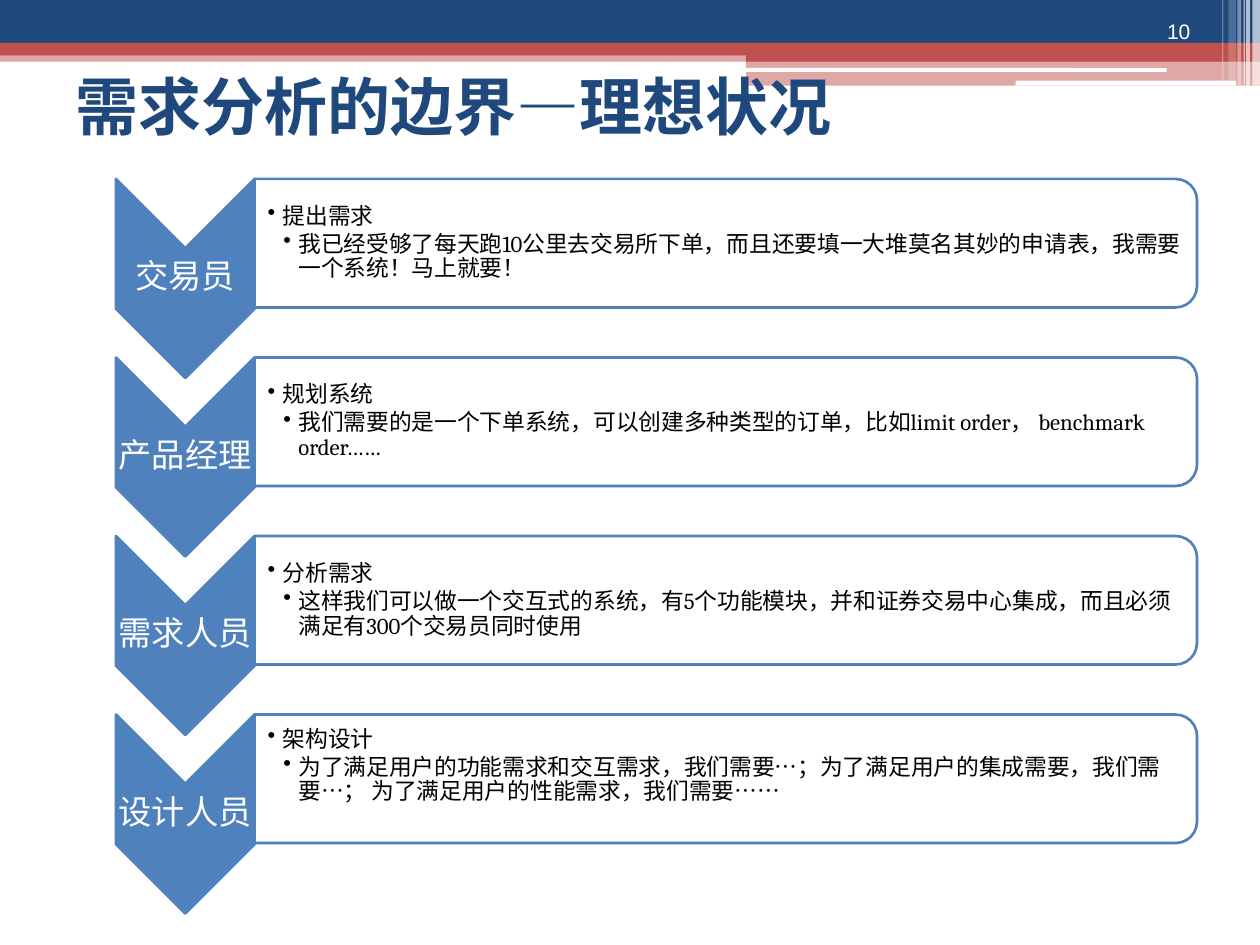
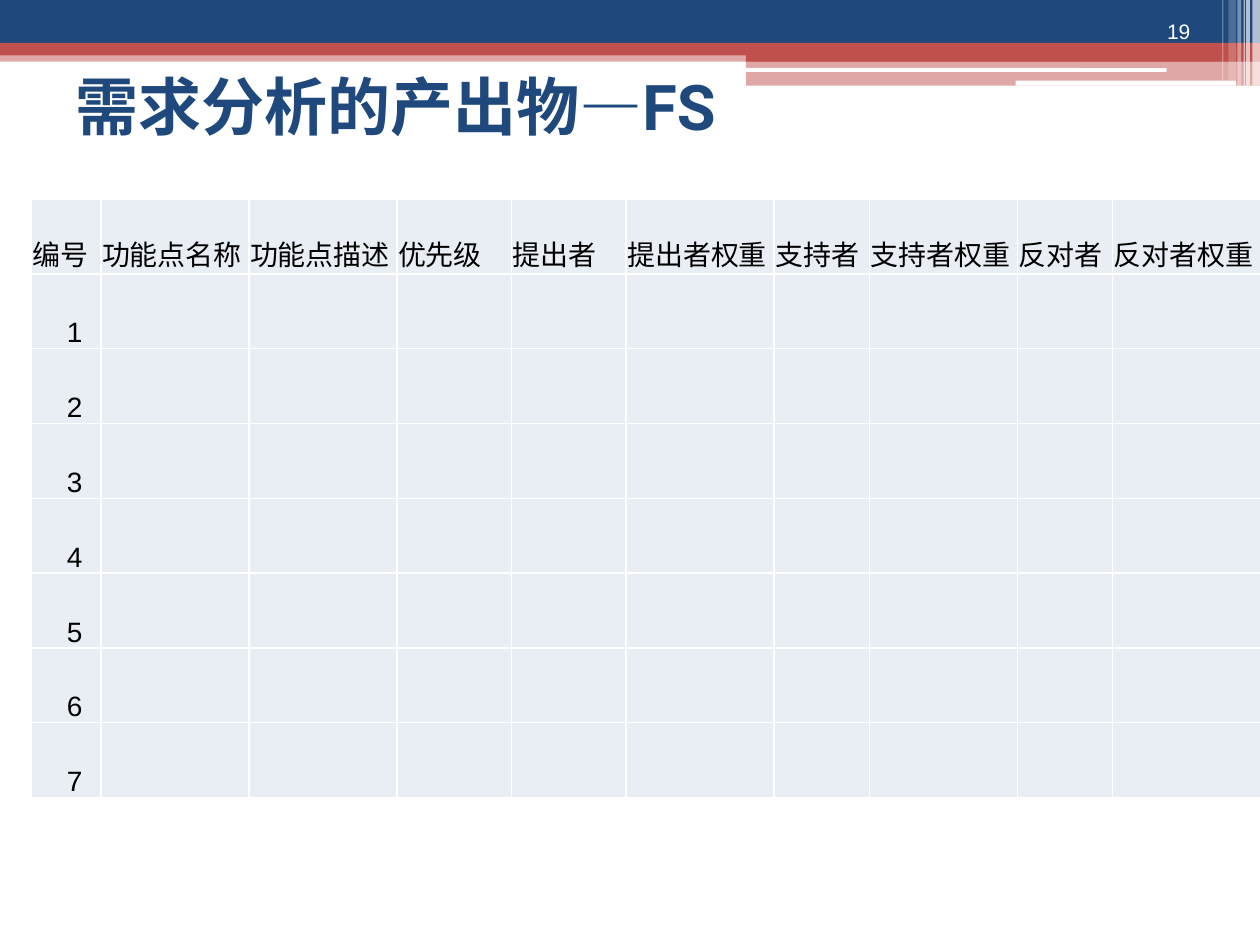
from lxml.etree import SubElement
from pptx import Presentation
from pptx.dml.color import RGBColor
from pptx.enum.shapes import MSO_SHAPE as Preset
from pptx.enum.text import MSO_ANCHOR as Anchor, PP_ALIGN as Align
from pptx.oxml.ns import qn
from pptx.util import Inches, Pt

COLOURS = {
    "navy": "1F497D", "red": "C0504D", "blue": "4F81BD",
    "white": "FFFFFF", "black": "000000", "cell": "E9EDF4",
}
COLUMNS, ROWS = 100, 75

# Header bands, back to front: preset, box in columns and rows, colour, opacity %
BANDS = [
    (Preset.RECTANGLE, (0, 4, 100, 0.9), "red", 50),
    (Preset.RECTANGLE, (0, 0, 100, 3.4), "navy", 100),
    (Preset.RECTANGLE, (0, 3.4, 100, 1), "red", 100),
    (Preset.RECTANGLE, (59.2, 3.9, 40.8, 1), "red", 100),
    (Preset.RECTANGLE, (59.2, 4.8, 40.8, 2), "red", 50),
    (Preset.ROUNDED_RECTANGLE, (59.1, 5.4, 33.5, 0.3), "white", 100),
    (Preset.ROUNDED_RECTANGLE, (80.6, 6.4, 17.5, 0.4), "white", 100),
]
# Pale stripes at the right end of the header: left, width, height, opacity %
STRIPES = [
    (99.4, 0.6, 6.8, 65), (98.9, 0.3, 6.8, 65), (98.7, 0.1, 6.8, 60),
    (98.2, 0.3, 6.8, 40), (97.5, 0.6, 6.4, 20), (97, 0.1, 6.4, 30),
]

TITLE = {"name": "Roboto", "size": Pt(36), "bold": True}
PAGE_NUMBER = {"name": "Arial", "size": Pt(12)}
ROLE = {"name": "Cambria", "size": Pt(19)}
DETAIL = {"name": "Cambria", "size": Pt(13)}
TABLE_TEXT = {"name": "Arial", "size": Pt(16)}
ROLE_SPACING = {"alignment": Align.CENTER, "line_spacing": 0.9, "space_after": Pt(7)}
DETAIL_SPACING = {"line_spacing": 0.9, "space_after": Pt(2)}


def apply(target, values):
    """Set every attribute in values on target."""
    for attribute, value in values.items():
        setattr(target, attribute, value)


def margins(left, top, right, bottom):
    """Return text margins, given in inches, as format values."""
    sides = ("left", "top", "right", "bottom")
    return {f"margin_{side}": Inches(inset)
            for side, inset in zip(sides, (left, top, right, bottom))}


def rgb(colour):
    """Look up a named colour."""
    return RGBColor.from_string(COLOURS[colour])


def write(paragraph, words, font, colour, layout=None):
    """Write one formatted run into a paragraph."""
    run = paragraph.add_run()
    run.text = words
    apply(run.font, font)
    run.font.color.rgb = rgb(colour)
    apply(paragraph, layout or {})


def add_bullet(paragraph, level):
    """Give a paragraph a hanging bullet for its level."""
    paragraph.level = level
    properties = paragraph._p.get_or_add_pPr()
    properties.set("marL", str(Inches(0.125 * level)))
    properties.set("indent", str(-Inches(0.12)))
    SubElement(properties, qn("a:buChar")).set("char", "•")


def add_cell_borders(cell, colour):
    """Draw a one-point line on all sides of a cell."""
    properties = cell._tc.get_or_add_tcPr()
    for position, side in enumerate(("a:lnL", "a:lnR", "a:lnT", "a:lnB")):
        edge = properties.makeelement(qn(side), {"w": str(Pt(1))})
        fill = SubElement(edge, qn("a:solidFill"))
        SubElement(fill, qn("a:srgbClr")).set("val", COLOURS[colour])
        properties.insert(position, edge)


class Deck:
    """Holds the shared style and the current slide."""

    def __init__(self):
        self.file = Presentation()
        apply(self.file, {"slide_width": Inches(10), "slide_height": Inches(7.5)})
        self.column = self.file.slide_width / COLUMNS
        self.row = self.file.slide_height / ROWS
        self.slide = None

    def place(self, box):
        """Turn a box in columns and rows into slide lengths."""
        left, top, width, height = box
        return (round(left * self.column), round(top * self.row),
                round(width * self.column), round(height * self.row))

    def start(self, title, number):
        """Add a slide with its header, title and page number."""
        self.slide = self.file.slides.add_slide(self.file.slide_layouts[6])
        for preset, box, colour, opacity in BANDS:
            self.shape(preset, box, colour, opacity)
        for left, width, height, opacity in STRIPES:
            self.shape(Preset.RECTANGLE, (left, 0, width, height), "white", opacity)
        heading = self.text((5, 4.2, 90, 8.3))
        write(heading.paragraphs[0], title, TITLE, "navy")
        corner = self.text((89.4, 0, 8.3, 4), vertical_anchor=Anchor.BOTTOM)
        write(corner.paragraphs[0], str(number), PAGE_NUMBER, "white",
              {"alignment": Align.CENTER})

    def shape(self, preset, box, colour, opacity=100, outline=None):
        """Add a filled preset shape, outlined only on request."""
        shape = self.slide.shapes.add_shape(preset, *self.place(box))
        shape.shadow.inherit = False
        shape.fill.solid()
        shape.fill.fore_color.rgb = rgb(colour)
        if opacity < 100:
            tint = shape.fill._xPr.find(qn("a:solidFill"))[0]
            SubElement(tint, qn("a:alpha")).set("val", str(opacity * 1000))
        if outline:
            shape.line.color.rgb = rgb(outline)
            shape.line.width = Pt(1.5)
        else:
            shape.line.fill.background()
        return shape

    def turned(self, preset, box, colour, opacity=100):
        """Add an outlined shape turned a quarter that fills the box as seen."""
        left, top, width, height = box
        shift = (width - height) / 2
        frame = (left + shift, top - shift, height, width)
        self.shape(preset, frame, colour, opacity, "blue").rotation = 90

    def text(self, box, **values):
        """Add a wrapping text box and return its text frame."""
        frame = self.slide.shapes.add_textbox(*self.place(box)).text_frame
        apply(frame, {"word_wrap": True, "vertical_anchor": Anchor.MIDDLE, **values})
        return frame

    def step(self, top, role, task, detail, foot=0.01):
        """Add one chevron with its role and the panel beside it."""
        left, chevron_width, panel_width = 9.2, 11, 74.8
        panel_left = left + chevron_width
        self.turned(Preset.CHEVRON, (left, top, chevron_width, 15.8), "blue")
        label = self.text((left, top + 5.5, chevron_width, 4.7),
                          **margins(0.01, 0.01, 0.01, 0.01))
        write(label.paragraphs[0], role, ROLE, "white", ROLE_SPACING)
        self.turned(Preset.ROUND_2_SAME_RECTANGLE,
                    (panel_left, top, panel_width, 10.2), "white", 90)
        body = self.text((panel_left, top + 0.5, panel_width - 0.5, 9.2),
                         **margins(0.1, 0.01, 0.01, foot))
        for level, words in enumerate((task, detail), 1):
            paragraph = body.paragraphs[0] if level == 1 else body.add_paragraph()
            write(paragraph, words, DETAIL, "black", DETAIL_SPACING)
            add_bullet(paragraph, level)

    def table(self, box, headings, numbers):
        """Add a grid with headings and numbered, otherwise empty rows."""
        grid = self.slide.shapes.add_table(
            len(numbers) + 1, len(headings), *self.place(box)).table
        apply(grid, {"first_row": False, "horz_banding": False})
        for column, (heading, width) in zip(grid.columns, headings):
            column.width = round(width * self.column)
        for cell in grid.iter_cells():
            cell.fill.solid()
            cell.fill.fore_color.rgb = rgb("cell")
            add_cell_borders(cell, "white")
        for position, (heading, width) in enumerate(headings):
            self.entry(grid.cell(0, position), heading, 0.01)
        for position, number in enumerate(numbers, 1):
            self.entry(grid.cell(position, 0), str(number), 0.28)

    def entry(self, cell, words, indent):
        """Write words at the foot of a table cell."""
        apply(cell, {"vertical_anchor": Anchor.BOTTOM,
                     **margins(indent, 0.01, 0.01, 0)})
        write(cell.text_frame.paragraphs[0], words, TABLE_TEXT, "black")


STEPS = [
    ("交易员", "提出需求",
     "我已经受够了每天跑10公里去交易所下单，而且还要填一大堆莫名其妙的申请表，"
     "我需要一个系统！马上就要！"),
    ("产品经理", "规划系统",
     "我们需要的是一个下单系统，可以创建多种类型的订单，"
     "比如limit order， benchmark order……"),
    ("需求人员", "分析需求",
     "这样我们可以做一个交互式的系统，有5个功能模块，并和证券交易中心集成，"
     "而且必须满足有300个交易员同时使用"),
    ("设计人员", "架构设计",
     "为了满足用户的功能需求和交互需求，我们需要…；为了满足用户的集成需要，"
     "我们需要…； 为了满足用户的性能需求，我们需要……", 0.21),
]
HEADINGS = [
    ("编号", 5.5), ("功能点名称", 11.75), ("功能点描述", 11.75), ("优先级", 9.1),
    ("提出者", 9.1), ("提出者权重", 11.75), ("支持者", 7.55),
    ("支持者权重", 11.75), ("反对者", 7.55), ("反对者权重", 11.75),
]

deck = Deck()
deck.start("需求分析的边界—理想状况", 10)
for order, step in enumerate(STEPS):
    deck.step(14.2 + 14.17 * order, *step)

deck.start("需求分析的产出物—FS", 19)
deck.table((2.5, 15.8, 97.5, 47.5), HEADINGS, range(1, 8))

deck.file.save("out.pptx")
